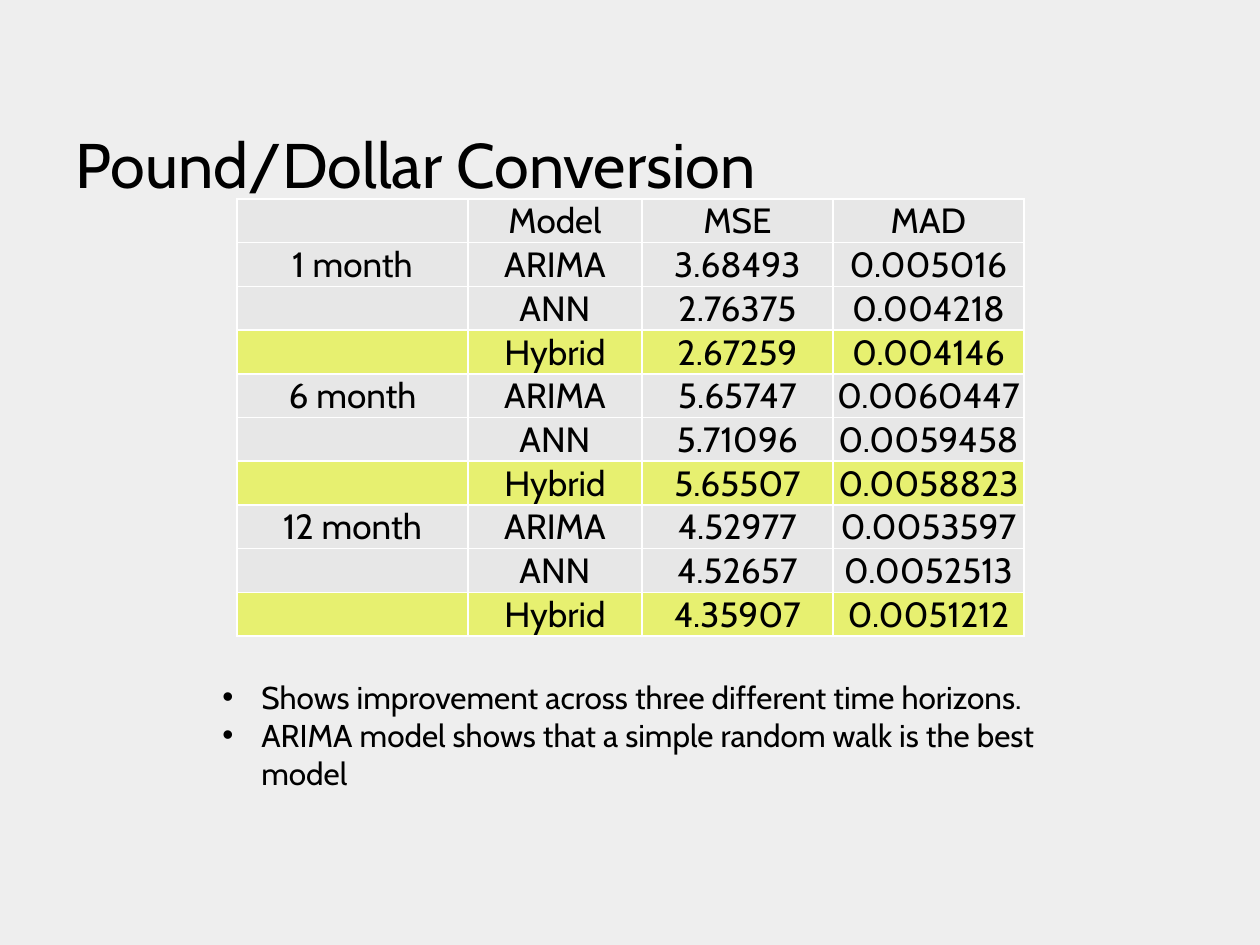
"""Build the Pound/Dollar forecast comparison slide."""
from dataclasses import dataclass

from lxml import etree
from pptx import Presentation
from pptx.dml.color import RGBColor
from pptx.enum.text import MSO_ANCHOR, MSO_AUTO_SIZE, PP_ALIGN
from pptx.oxml.ns import qn
from pptx.util import Pt

BOTTOM = MSO_ANCHOR.BOTTOM
TOP = MSO_ANCHOR.TOP
NO_AUTOFIT = MSO_AUTO_SIZE.NONE
LEFT = PP_ALIGN.LEFT
CENTER = PP_ALIGN.CENTER

FONT = "Cabin"
BLACK = "000000"
WHITE = "FFFFFF"
BACKGROUND = "EEEEEE"
CELL_FILL = "E7E7E7"
HIGHLIGHT = "E7F070"

TITLE_ONLY = 5
EMU_PER_PX = 914400 / 126
ROW_HEIGHT = 43
COLUMN_WIDTHS = (231, 174, 191, 191)
HEADINGS = ("", "Model", "MSE", "MAD")
BULLET_INDENT = 39


@dataclass(frozen=True)
class Box:
    """Position and size in px."""
    left: int
    top: int
    width: int
    height: int


@dataclass(frozen=True)
class Forecast:
    """Errors of one model at one time horizon."""
    horizon: str
    model: str
    mse: str
    mad: str


TITLE_BOX = Box(63, 49, 1134, 158)
TABLE_BOX = Box(237, 199, sum(COLUMN_WIDTHS), 433)
NOTES_BOX = Box(210, 672, 905, 128)

FORECASTS = (
    Forecast("1 month", "ARIMA", "3.68493", "0.005016"),
    Forecast("", "ANN", "2.76375", "0.004218"),
    Forecast("", "Hybrid", "2.67259", "0.004146"),
    Forecast("6 month", "ARIMA", "5.65747", "0.0060447"),
    Forecast("", "ANN", "5.71096", "0.0059458"),
    Forecast("", "Hybrid", "5.65507", "0.0058823"),
    Forecast("12 month", "ARIMA", "4.52977", "0.0053597"),
    Forecast("", "ANN", "4.52657", "0.0052513"),
    Forecast("", "Hybrid", "4.35907", "0.0051212"),
)

NOTES = (
    "Shows improvement across three different time horizons.",
    "ARIMA model shows that a simple random walk is the best model",
)


def px(length: int) -> int:
    """Turn px into EMU."""
    return round(length * EMU_PER_PX)


def color(value: str) -> RGBColor:
    """Turn a hex string into a colour."""
    return RGBColor.from_string(value)


def bounds(box: Box) -> tuple:
    """Return the left, top, width and height of a box in EMU."""
    return px(box.left), px(box.top), px(box.width), px(box.height)


def write(paragraph, text: str, *, size: int, align=LEFT) -> None:
    """Add one formatted run to a paragraph."""
    paragraph.alignment = align
    run = paragraph.add_run()
    run.text = text
    run.font.name = FONT
    run.font.size = Pt(size)
    run.font.color.rgb = color(BLACK)


def add_borders(cell) -> None:
    """Draw thin white lines on all four sides of a cell."""
    properties = cell._tc.get_or_add_tcPr()
    for side in ("a:lnL", "a:lnR", "a:lnT", "a:lnB"):
        line = etree.SubElement(properties, qn(side), w=str(Pt(1)))
        fill = etree.SubElement(line, qn("a:solidFill"))
        etree.SubElement(fill, qn("a:srgbClr"), val=WHITE)


def fill_cell(cell, text: str, *, fill: str) -> None:
    """Format a table cell and write its text."""
    cell.margin_left = cell.margin_right = cell.margin_top = px(1)
    cell.margin_bottom = 0
    cell.vertical_anchor = BOTTOM
    add_borders(cell)
    cell.fill.solid()
    cell.fill.fore_color.rgb = color(fill)
    if text:
        write(cell.text_frame.paragraphs[0], text, size=20, align=CENTER)


def add_title(slide, text: str) -> None:
    """Place and format the title placeholder."""
    title = slide.shapes.title
    title.left, title.top, title.width, title.height = bounds(TITLE_BOX)
    frame = title.text_frame
    frame.vertical_anchor = BOTTOM
    frame.auto_size = NO_AUTOFIT
    write(frame.paragraphs[0], text, size=36)


def add_forecast_table(slide) -> None:
    """Add the table of errors, with the hybrid model highlighted."""
    frame = slide.shapes.add_table(
        len(FORECASTS) + 1, len(HEADINGS), *bounds(TABLE_BOX))
    table = frame.table
    table.first_row = table.horz_banding = False
    for column, width in zip(table.columns, COLUMN_WIDTHS):
        column.width = px(width)
    for row in table.rows:
        row.height = px(ROW_HEIGHT)
    for column, heading in enumerate(HEADINGS):
        fill_cell(table.cell(0, column), heading, fill=CELL_FILL)
    for row, forecast in enumerate(FORECASTS, start=1):
        fill = HIGHLIGHT if forecast.model == "Hybrid" else CELL_FILL
        values = (forecast.horizon, forecast.model, forecast.mse, forecast.mad)
        for column, value in enumerate(values):
            fill_cell(table.cell(row, column), value, fill=fill)


def add_notes(slide) -> None:
    """Add the bulleted findings below the table."""
    frame = slide.shapes.add_textbox(*bounds(NOTES_BOX)).text_frame
    frame.word_wrap = True
    frame.vertical_anchor = TOP
    for index, note in enumerate(NOTES):
        paragraph = frame.add_paragraph() if index else frame.paragraphs[0]
        write(paragraph, note, size=18)
        properties = paragraph._p.get_or_add_pPr()
        properties.set("marL", str(px(BULLET_INDENT)))
        properties.set("indent", str(-px(BULLET_INDENT)))
        etree.SubElement(properties, qn("a:buFont"), typeface="Arial")
        etree.SubElement(properties, qn("a:buChar"), char="•")


def main() -> None:
    """Build and save the presentation."""
    presentation = Presentation()
    presentation.slide_width = px(1260)
    presentation.slide_height = px(945)
    slide = presentation.slides.add_slide(presentation.slide_layouts[TITLE_ONLY])
    slide.background.fill.solid()
    slide.background.fill.fore_color.rgb = color(BACKGROUND)
    add_title(slide, "Pound/Dollar Conversion")
    add_forecast_table(slide)
    add_notes(slide)
    presentation.save("out.pptx")


if __name__ == "__main__":
    main()
